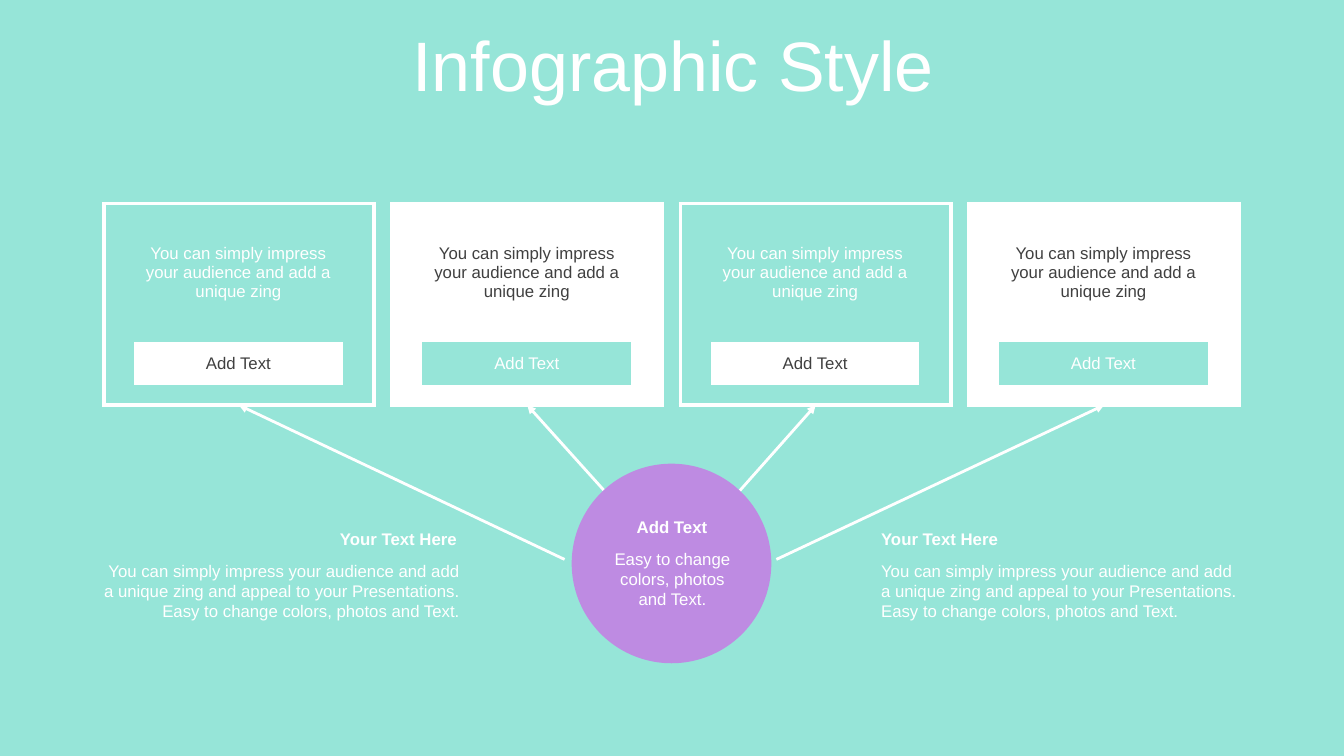
from lxml.etree import SubElement
from pptx import Presentation
from pptx.dml.color import RGBColor
from pptx.enum.shapes import MSO_CONNECTOR as Link, MSO_SHAPE as Shape
from pptx.enum.text import MSO_ANCHOR as Anchor, MSO_AUTO_SIZE as Auto, PP_ALIGN as Align
from pptx.oxml.ns import qn
from pptx.util import Inches, Pt

MINT = RGBColor(0x96, 0xE5, 0xD8)
WHITE = RGBColor(0xFF, 0xFF, 0xFF)
GRAY = RGBColor(0x40, 0x40, 0x40)
PURPLE = RGBColor(0xBE, 0x8B, 0xE2)

COLS = (0.3, 2.07, 0.31)
ROWS = (0.2, 0.97, 0.2, 0.43, 0.2)
LEFT, TOP, STEP = 1.03, 2.02, 2.86
HUB = (6.67, 5.62)
ENDS = (HUB, (5.6, 5.55), HUB, (7.7, 5.55))
TIPS = (5.23, 2.37, 8.09, 10.95)
PITCH = "You can simply impress your audience and add a unique zing"
STORY = PITCH + " and appeal to your Presentations. Easy to change colors, photos and Text."


def style(para, color, align, size=12, bold=False):
    """Set the font and alignment of a paragraph."""
    para.alignment = align
    font = para.font
    font.name, font.size, font.bold = "Arial", Pt(size), bold
    font.color.rgb = color


def add_title(slide, text):
    """Place and format the title."""
    title = slide.shapes.title
    title.left, title.top = Inches(0.35), Inches(0.31)
    title.width, title.height = Inches(12.66), Inches(0.79)
    frame = title.text_frame
    frame.text = text
    frame.auto_size = Auto.NONE
    frame.vertical_anchor = Anchor.MIDDLE
    para = frame.paragraphs[0]
    para.line_spacing = 0.8
    para.space_before = Pt(0)
    style(para, WHITE, Align.CENTER, 50)


def add_text(slide, text, box, align, bold=False, anchor=Anchor.TOP):
    """Add a wrapped white text box."""
    frame = slide.shapes.add_textbox(*map(Inches, box)).text_frame
    frame.word_wrap = True
    frame.vertical_anchor = anchor
    frame.text = text
    style(frame.paragraphs[0], WHITE, align, bold=bold)


def add_arrow(slide, tip, end):
    """Add a line with an arrowhead at its tip."""
    line = slide.shapes.add_connector(Link.STRAIGHT, *map(Inches, tip + end))
    line.line.color.rgb = WHITE
    line.line.width = Pt(2)
    SubElement(line.line._get_or_add_ln(), qn("a:headEnd"), type="triangle")
    SubElement(line._element.spPr, qn("a:effectLst"))


def add_hub(slide):
    """Add the round hub."""
    hub = slide.shapes.add_shape(Shape.OVAL, *map(Inches, (5.67, 4.6, 1.98, 1.98)))
    hub.shadow.inherit = False
    hub.fill.solid()
    hub.fill.fore_color.rgb = PURPLE
    hub.line.fill.background()


def set_edge(cell, tag, shown):
    """Draw or hide one border of a cell."""
    edge = SubElement(cell._tc.get_or_add_tcPr(), qn("a:" + tag), w=str(Pt(3)))
    if shown:
        fill = SubElement(edge, qn("a:solidFill"))
        SubElement(fill, qn("a:srgbClr"), val=str(WHITE))
    else:
        SubElement(edge, qn("a:noFill"))


def set_cell(cell, text, fill, color, size):
    """Fill a cell and centre its text."""
    cell.fill.solid()
    cell.fill.fore_color.rgb = fill
    cell.margin_top = cell.margin_bottom = 0
    cell.vertical_anchor = Anchor.MIDDLE
    cell.text = text
    style(cell.text_frame.paragraphs[0], color, Align.CENTER, size)


def add_card(slide, left, back, ink, band, label):
    """Add a framed card with a pitch and a label band."""
    box = (left, TOP, sum(COLS), sum(ROWS))
    table = slide.shapes.add_table(len(ROWS), len(COLS), *map(Inches, box)).table
    table.first_row = table.horz_banding = False
    for col, width in zip(table.columns, COLS):
        col.width = Inches(width)
    words = {(1, 1): (PITCH, back, ink, 12), (3, 1): ("Add Text", band, label, 12)}
    for i, height in enumerate(ROWS):
        table.rows[i].height = Inches(height)
        for j in range(len(COLS)):
            cell = table.cell(i, j)
            set_edge(cell, "lnL", j == 0)
            set_edge(cell, "lnR", j == len(COLS) - 1)
            set_edge(cell, "lnT", i == 0)
            set_edge(cell, "lnB", i == len(ROWS) - 1)
            set_cell(cell, *words.get((i, j), ("", back, ink, 6)))


def main():
    """Build the slide and save it."""
    deck = Presentation()
    deck.slide_width, deck.slide_height = Inches(13.33), Inches(7.5)
    slide = deck.slides.add_slide(deck.slide_layouts[5])
    slide.background.fill.solid()
    slide.background.fill.fore_color.rgb = MINT
    add_title(slide, "Infographic Style")
    for tip, end in zip(TIPS, ENDS):
        add_arrow(slide, (tip, TOP + sum(ROWS)), end)
    for left, width, align in ((8.64, 3.78, Align.LEFT), (0.91, 3.75, Align.RIGHT)):
        add_text(slide, STORY, (left, 5.51, width, 0.71), align)
        add_text(slide, "Your Text Here", (left, 5.2, width - 0.03, 0.3), align, True)
    add_hub(slide)
    add_text(slide, "Easy to change colors, photos and Text.",
             (5.95, 5.32, 1.44, 0.84), Align.CENTER, anchor=Anchor.MIDDLE)
    add_text(slide, "Add Text", (5.94, 5.06, 1.45, 0.33), Align.CENTER, True, Anchor.MIDDLE)
    looks = ((MINT, WHITE, WHITE, GRAY), (WHITE, GRAY, MINT, WHITE))
    for i in range(4):
        add_card(slide, LEFT + i * STEP, *looks[i % 2])
    deck.save("out.pptx")


if __name__ == "__main__":
    main()
